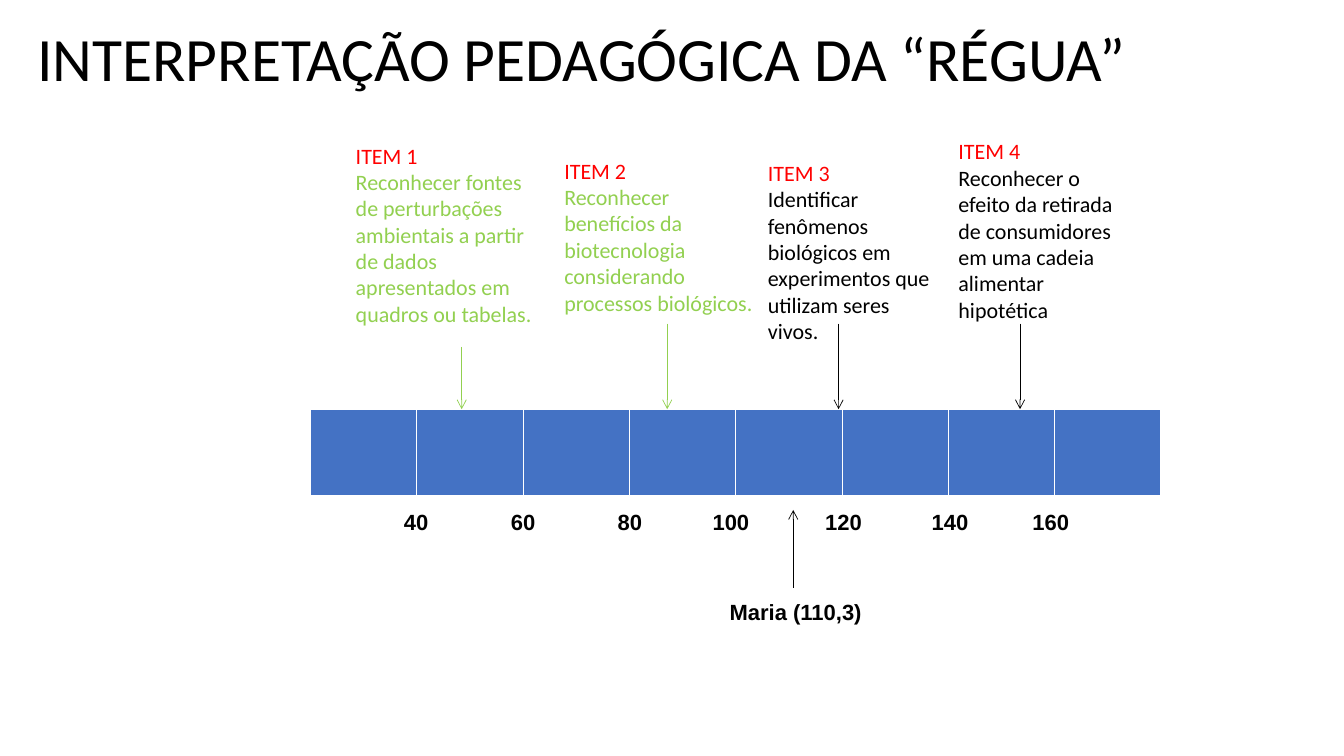
import pptx
import pptx.dml.color
import pptx.enum.shapes
import pptx.enum.text
import pptx.oxml
import pptx.oxml.ns
import pptx.util
from lxml import etree

Pt = pptx.util.Pt
RGB = pptx.dml.color.RGBColor.from_string
qn = pptx.oxml.ns.qn

THEME = {
    "black": "000000", "red": "FF0000", "green": "92D050",
    "blue": "4472C4", "white": "FFFFFF",
    "title": {"name": "Calibri", "size": Pt(44), "bold": False},
    "item": {"name": "Calibri", "size": Pt(15.7), "bold": False},
    "label": {"name": "Arial", "size": Pt(15.7), "bold": True},
}

deck = pptx.Presentation()
deck.slide_width, deck.slide_height = Pt(960), Pt(540)
slide = deck.slides.add_slide(deck.slide_layouts[5])


def write(paragraph, text, style, color):
    run = paragraph.add_run()
    run.text = text
    for attribute, value in THEME[style].items():
        setattr(run.font, attribute, value)
    run.font.color.rgb = RGB(THEME[color])


def add_arrow(x, start, end, color):
    arrow = slide.shapes.add_connector(
        pptx.enum.shapes.MSO_CONNECTOR.STRAIGHT, Pt(x), Pt(start), Pt(x), Pt(end))
    arrow.line.color.rgb = RGB(THEME[color])
    arrow.line.width = Pt(0.5)
    etree.SubElement(arrow.line._get_or_add_ln(), qn("a:tailEnd"), type="arrow")
    etree.SubElement(arrow._element.spPr, qn("a:effectLst"))


# Title
heading = slide.shapes.title
heading.left, heading.top, heading.width, heading.height = Pt(19.4), Pt(15.8), Pt(921.6), Pt(56.9)
heading_format = {
    "auto_size": pptx.enum.text.MSO_AUTO_SIZE.NONE,
    "vertical_anchor": pptx.enum.text.MSO_ANCHOR.MIDDLE,
    "word_wrap": True,
}
for attribute, value in heading_format.items():
    setattr(heading.text_frame, attribute, value)
heading_line = heading.text_frame.paragraphs[0]
heading_line.alignment = pptx.enum.text.PP_ALIGN.LEFT
heading_line.line_spacing = 0.9
write(heading_line, "INTERPRETAÇÃO PEDAGÓGICA DA “RÉGUA”", "title", "black")

# Ruler
RULER_LEFT, RULER_TOP, RULER_HEIGHT = 221.8, 292.3, 62.6
STEP, STEPS = 75.96, 8
ruler = slide.shapes.add_table(
    1, STEPS, Pt(RULER_LEFT), Pt(RULER_TOP), Pt(STEP * STEPS), Pt(RULER_HEIGHT)).table
for column in ruler.columns:
    column.width = Pt(STEP)
for segment in ruler.iter_cells():
    borders = segment._tc.get_or_add_tcPr()
    for side, width in (("lnL", 1), ("lnR", 1), ("lnT", 1), ("lnB", 3)):
        border = etree.SubElement(borders, qn(f"a:{side}"), w=str(Pt(width)))
        fill = etree.SubElement(border, qn("a:solidFill"))
        etree.SubElement(fill, qn("a:srgbClr"), val=THEME["white"])
    segment.fill.solid()
    segment.fill.fore_color.rgb = RGB(THEME["blue"])

# Items above the ruler: box, colour, arrow x and start, description
items = [
    ((247, 97.9, 140.4, 140.4), "green", 329.8, 247.7,
     "Reconhecer fontes de perturbações ambientais a partir de dados "
     "apresentados em quadros ou tabelas."),
    ((396, 108.7, 156.2, 121), "green", 476.6, 231.1,
     "Reconhecer benefícios da biotecnologia considerando processos biológicos."),
    ((541.4, 110.2, 131, 140.4), "black", 599, 231.1,
     "Identificar fenômenos biológicos em experimentos que utilizam seres vivos."),
    ((677.5, 95, 126, 140.4), "black", 728.6, 231.1,
     "Reconhecer o efeito da retirada de consumidores em uma cadeia alimentar hipotética"),
]
for number, (box, color, arrow_x, arrow_start, description) in enumerate(items, 1):
    item = slide.shapes.add_textbox(*map(Pt, box)).text_frame
    item.word_wrap = True
    write(item.paragraphs[0], f"ITEM {number}", "item", "red")
    write(item.add_paragraph(), description, "item", color)
    add_arrow(arrow_x, arrow_start, RULER_TOP, color)

# Scale values, centred on tab stops under the ruler marks
scale = slide.shapes.add_textbox(Pt(281.5), Pt(360), Pt(494.6), Pt(25.9)).text_frame
scale.word_wrap = True
scale_line = scale.paragraphs[0]
tabs = etree.SubElement(scale_line._p.get_or_add_pPr(), qn("a:tabLst"))
for stop in (85, 161.4, 233.5, 314, 390, 462):
    etree.SubElement(tabs, qn("a:tab"), pos=str(Pt(stop)), algn="ctr")
write(scale_line, "\t".join(str(value) for value in range(40, 161, 20)), "label", "black")

# Student's position
student = slide.shapes.add_textbox(Pt(514.1), Pt(424.1), Pt(110.2), Pt(25.9)).text_frame
student.word_wrap = False
write(student.paragraphs[0], "Maria (110,3)", "label", "black")
add_arrow(566.6, 419.8, 364.3, "black")

deck.save("out.pptx")
